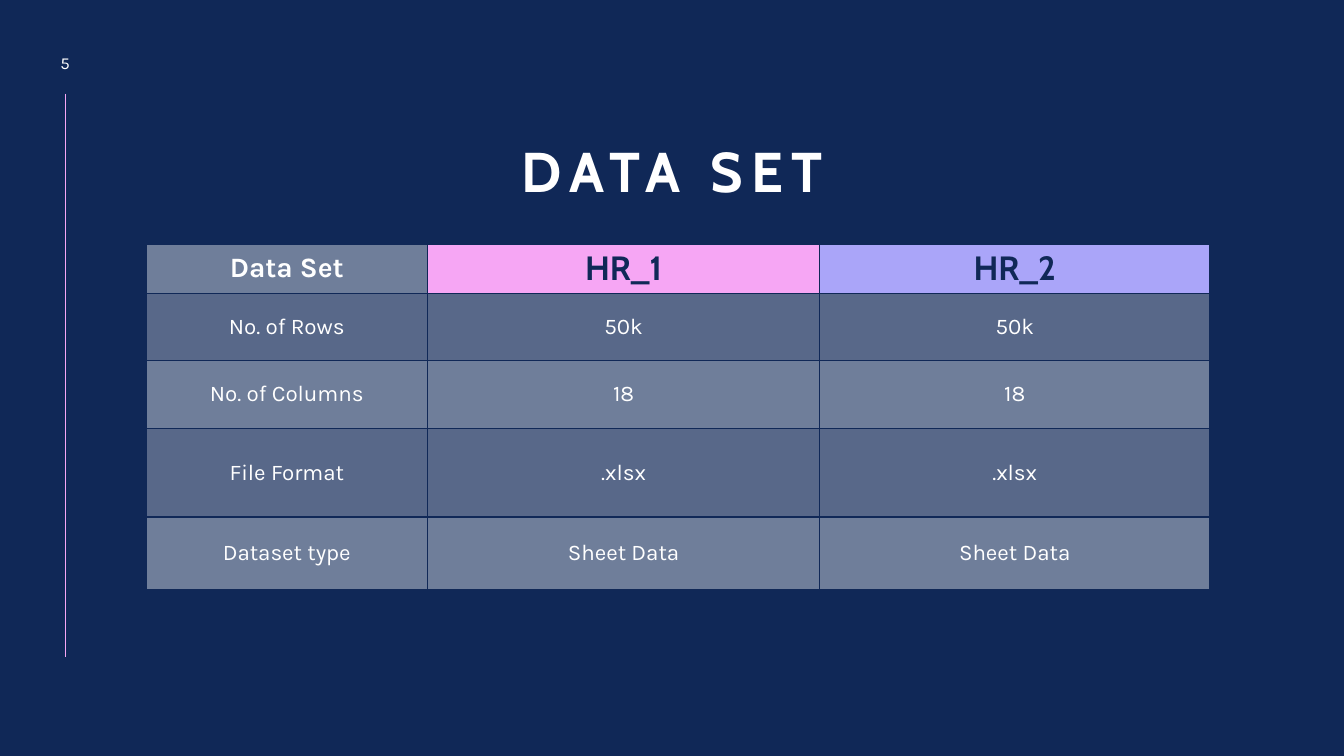
"""Build the data set comparison slide."""
from lxml import etree
from pptx import Presentation
from pptx.dml.color import RGBColor
from pptx.enum import shapes, text
from pptx.oxml import ns
from pptx.util import Inches, Pt

COLORS = {"navy": "102857", "white": "FFFFFF", "pink": "F6A6F4", "violet": "AAA5F9"}


def write(frame, words, size, font="Karla", color="white", bold=False, spacing=0,
          line_spacing=1.0, anchor=text.MSO_ANCHOR.MIDDLE):
    frame.word_wrap = True
    frame.vertical_anchor = anchor
    paragraph = frame.paragraphs[0]
    paragraph.alignment = text.PP_ALIGN.CENTER
    paragraph.line_spacing = line_spacing
    run = paragraph.add_run()
    run.text = words
    run.font.size = Pt(size)
    run.font.name = font
    run.font.bold = bold
    run.font.color.rgb = RGBColor.from_string(COLORS[color])
    if spacing:
        run.font._element.set("spc", str(spacing * 100))


def paint(cell, color, opacity):
    for side in ("lnL", "lnR", "lnT", "lnB"):
        border = etree.SubElement(cell._tc.get_or_add_tcPr(), ns.qn(f"a:{side}"), w=str(Pt(1)))
        border_fill = etree.SubElement(border, ns.qn("a:solidFill"))
        etree.SubElement(border_fill, ns.qn("a:srgbClr"), val=COLORS["navy"])
    cell.fill.solid()
    cell.fill.fore_color.rgb = RGBColor.from_string(COLORS[color])
    if opacity < 100:
        tint = cell._tc.tcPr.find(ns.qn("a:solidFill"))[0]
        etree.SubElement(tint, ns.qn("a:alpha"), val=str(opacity * 1000))


deck = Presentation()
deck.slide_width = Inches(13.33)
deck.slide_height = Inches(7.5)
slide = deck.slides.add_slide(deck.slide_layouts[6])
slide.background.fill.solid()
slide.background.fill.fore_color.rgb = RGBColor.from_string(COLORS["navy"])

side_rule = slide.shapes.add_connector(
    shapes.MSO_CONNECTOR.STRAIGHT, Inches(0.65), Inches(0.93), Inches(0.65), Inches(6.52))
side_rule.line.color.rgb = RGBColor.from_string(COLORS["pink"])
side_rule.line.width = Pt(0.5)
etree.SubElement(side_rule._element.spPr, ns.qn("a:effectLst"))

title = slide.shapes.add_textbox(Inches(1.2), Inches(0.91), Inches(10.93), Inches(1.17))
write(title.text_frame, "DATA SET", 40, font="Cabin", bold=True, spacing=6,
      line_spacing=0.9, anchor=text.MSO_ANCHOR.BOTTOM)

page_number = slide.shapes.add_textbox(Inches(0.36), Inches(0.45), Inches(0.57), Inches(0.34))
write(page_number.text_frame, "5", 12)

facts = [
    ("Data Set", "HR_1", "HR_2"),
    ("No. of Rows", "50k", "50k"),
    ("No. of Columns", "18", "18"),
    ("File Format", ".xlsx", ".xlsx"),
    ("Dataset type", "Sheet Data", "Sheet Data"),
]
column_widths = [2.79, 3.89, 3.87]
row_heights = [0.49, 0.67, 0.67, 0.88, 0.72]
header_colors = ["white", "pink", "violet"]

comparison = slide.shapes.add_table(
    len(facts), len(column_widths), Inches(1.45), Inches(2.42),
    Inches(sum(column_widths)), Inches(sum(row_heights))).table
comparison.first_row = False
comparison.horz_banding = False
for column, width in zip(comparison.columns, column_widths):
    column.width = Inches(width)

for r, (fact, height) in enumerate(zip(facts, row_heights)):
    comparison.rows[r].height = Inches(height)
    for c, words in enumerate(fact):
        cell = comparison.cell(r, c)
        cell.margin_top = cell.margin_bottom = Inches(0.03)
        cell.vertical_anchor = text.MSO_ANCHOR.MIDDLE
        if r == 0 and c > 0:
            paint(cell, header_colors[c], 100)
            write(cell.text_frame, words, 24, font="Cabin", color="navy", bold=True)
        else:
            paint(cell, "white", 30 if r % 2 else 40)
            write(cell.text_frame, words, 16 if r else 20, bold=r == 0)

deck.save("out.pptx")
